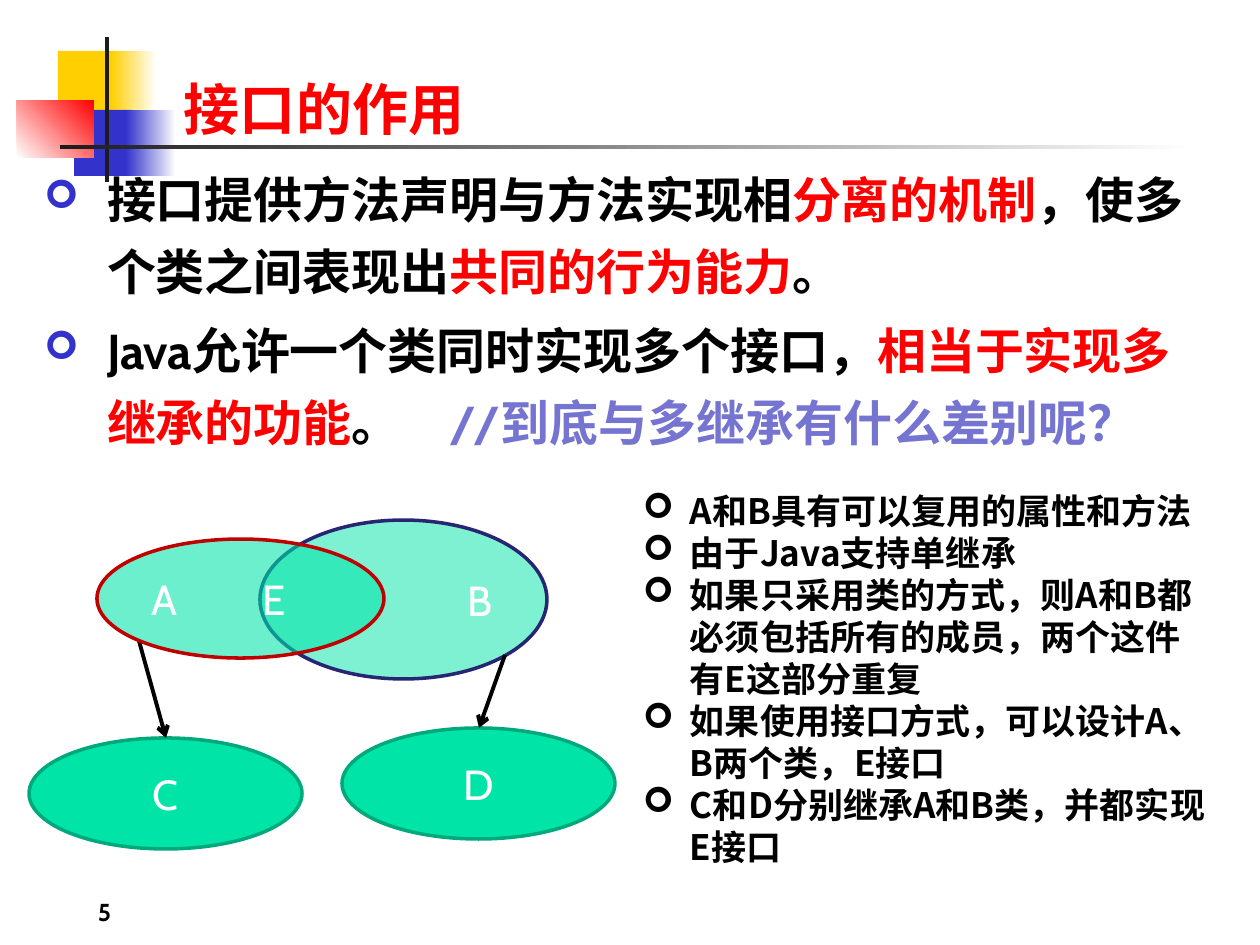
from lxml import etree
from pptx import Presentation
from pptx.dml.color import RGBColor
from pptx.enum.shapes import MSO_CONNECTOR, MSO_SHAPE
from pptx.enum.text import MSO_ANCHOR, PP_ALIGN
from pptx.oxml.ns import qn
from pptx.util import Emu, Pt

RECT, OVAL = MSO_SHAPE.RECTANGLE, MSO_SHAPE.OVAL
STRAIGHT = MSO_CONNECTOR.STRAIGHT
LEFT, CENTER, RIGHT = PP_ALIGN.LEFT, PP_ALIGN.CENTER, PP_ALIGN.RIGHT
TOP, MIDDLE, BOTTOM = MSO_ANCHOR.TOP, MSO_ANCHOR.MIDDLE, MSO_ANCHOR.BOTTOM
TITLE_ONLY = 5
PX = 914400 / 126
LATIN, CJK = "Cabin", "Noto Sans CJK SC"
COLORS = {
    "yellow": "FFCF01", "blue": "3333CC", "red": "FF0000", "dark": "1C1C1C",
    "white": "FFFFFF", "black": "000000", "lilac": "7575D1", "green": "00E4A8",
    "green_line": "00A97C", "navy": "262673", "crimson": "C00000",
}


def px(*lengths):
    return [Emu(round(n * PX)) for n in lengths]


def rgb(name):
    return RGBColor.from_string(COLORS[name])


def child(parent, tag, **attrs):
    return etree.SubElement(parent, qn(tag), {k: str(v) for k, v in attrs.items()})


def write(p, text, size=20, color="black", bold=False, font=LATIN):
    r = p.add_run()
    r.text = text
    r.font.size, r.font.bold, r.font.name = Pt(size), bold, font
    r.font.color.rgb = rgb(color)
    child(r.font._element, "a:ea", typeface=CJK)


def add_bullet(p, indent, color="black", percent=100):
    pPr = p._p.get_or_add_pPr()
    step = px(indent)[0]
    pPr.set("marL", str(step))
    pPr.set("indent", str(-step))
    child(child(pPr, "a:buClr"), "a:srgbClr", val=COLORS[color])
    child(pPr, "a:buSzPct", val=percent * 1000)
    child(pPr, "a:buFont", typeface="Wingdings")
    child(pPr, "a:buChar", char="➢")


def set_frame(tf, anchor):
    """Wrap the text and drop the insets, so that a box is its text area."""
    tf.word_wrap, tf.vertical_anchor = True, anchor
    tf.margin_left = tf.margin_right = tf.margin_top = tf.margin_bottom = 0


def add_frame(slide, box, anchor=TOP):
    tf = slide.shapes.add_textbox(*px(*box)).text_frame
    set_frame(tf, anchor)
    return tf


def add_block(slide, box, start, end=None, angle=0):
    """Add a borderless rectangle, with a gradient if there is an end colour."""
    sp = slide.shapes.add_shape(RECT, *px(*box))
    sp.shadow.inherit = False
    sp.line.fill.background()
    if end is None:
        sp.fill.solid()
        sp.fill.fore_color.rgb = rgb(start)
        return
    sp.fill.gradient()
    sp.fill.gradient_angle = angle
    for stop, position, color in zip(sp.fill.gradient_stops, (0, 1), (start, end)):
        stop.position = position
        stop.color.rgb = rgb(color)


def add_ornament(slide, left, top):
    def block(x, y, w, h, *colors, **options):
        add_block(slide, (left + x, top + y, w, h), *colors, **options)

    block(41, 14, 60, 66, "yellow")
    block(94, 14, 45, 66, "yellow", "white")
    block(57, 73, 58, 66, "blue")
    block(109, 73, 50, 66, "blue", "white")
    block(0, 63, 77, 58, "white", "red", angle=45)
    block(88, 0, 4, 145, "dark")
    block(43, 108, 1134, 4, "dark", "white")


def add_title(slide, box, text):
    title = slide.shapes.title
    title.left, title.top, title.width, title.height = px(*box)
    set_frame(title.text_frame, MIDDLE)
    p = title.text_frame.paragraphs[0]
    p.alignment = LEFT
    write(p, text, size=32, color="red", bold=True)


def add_bullets(slide, box, items, size, spacing, indent, before=0,
                font=LATIN, bullet="black", percent=100):
    """Add one bulleted paragraph for each list of (text, colour) runs."""
    tf = add_frame(slide, box)
    for i, runs in enumerate(items):
        p = tf.paragraphs[0] if i == 0 else tf.add_paragraph()
        p.line_spacing = Pt(spacing)
        p.space_before = Pt(before if i else 0)
        add_bullet(p, indent, bullet, percent)
        for text, color in runs:
            write(p, text, size=size, color=color, bold=True, font=font)


def add_oval(slide, box, text, line="green_line", opacity=100, align=CENTER, tab=None):
    sp = slide.shapes.add_shape(OVAL, *px(*box))
    sp.shadow.inherit = False
    sp.fill.solid()
    sp.fill.fore_color.rgb = rgb("green")
    if opacity < 100:
        color = sp.fill._xPr.find(qn("a:solidFill"))[0]
        child(color, "a:alpha", val=opacity * 1000)
    sp.line.color.rgb, sp.line.width = rgb(line), Pt(2)
    sp.text_frame.vertical_anchor = MIDDLE
    p = sp.text_frame.paragraphs[0]
    p.alignment = align
    if tab:
        tabs = child(p._p.get_or_add_pPr(), "a:tabLst")
        child(tabs, "a:tab", pos=px(tab)[0], algn="l")
    write(p, text, size=24, color="white")


def add_arrow(slide, x1, y1, x2, y2):
    line = slide.shapes.add_connector(STRAIGHT, *px(x1, y1, x2, y2))
    line.line.color.rgb, line.line.width = rgb("black"), Pt(2.25)
    child(line.line._get_or_add_ln(), "a:tailEnd", type="arrow")
    child(line._element.spPr, "a:effectLst")


def add_class_diagram(slide, left, top):
    def oval(x, y, w, h, text, **options):
        add_oval(slide, (left + x, top + y, w, h), text, **options)

    def arrow(x1, y1, x2, y2):
        add_arrow(slide, left + x1, top + y1, left + x2, top + y2)

    oval(231, 0, 287, 159, "B", line="navy", opacity=50, align=RIGHT)
    oval(0, 218, 273, 111, "C")
    arrow(110, 121, 137, 218)
    oval(313, 208, 273, 111, "D")
    arrow(476, 135, 450, 208)
    oval(68, 19, 287, 119, "A\tE", line="crimson", opacity=58, align=LEFT, tab=111)


def add_page_number(slide, box, number):
    p = add_frame(slide, box, BOTTOM).paragraphs[0]
    p.alignment = RIGHT
    write(p, number, size=14, bold=True)


def main():
    prs = Presentation()
    prs.slide_width, prs.slide_height = px(1260, 945)
    slide = prs.slides.add_slide(prs.slide_layouts[TITLE_ONLY])
    add_ornament(slide, 17, 37)
    add_title(slide, (184, 68, 1000, 80), "接口的作用")
    roles = [
        [("接口提供方法声明与方法实现相", "black"), ("分离的机制", "red"),
         ("，使多个类之间表现出", "black"), ("共同的行为能力", "red"), ("。", "black")],
        [("Java允许一个类同时实现多个接口，", "black"),
         ("相当于实现多继承的功能", "red"), ("。　", "black"),
         ("//到底与多继承有什么差别呢？", "lilac")],
    ]
    add_bullets(slide, (44, 157, 1152, 300), roles, size=28, spacing=41,
                indent=63, before=4, bullet="blue", percent=80)
    add_page_number(slide, (0, 869, 111, 57), "5")
    add_class_diagram(slide, 29, 520)
    notes = [
        "A和B具有可以复用的属性和方法",
        "由于Java支持单继承",
        "如果只采用类的方式，则A和B都必须包括所有的成员，两个这件有E这部分重复",
        "如果使用接口方式，可以设计A、B两个类，E接口",
        "C和D分别继承A和B类，并都实现E接口",
    ]
    add_bullets(slide, (643, 489, 569, 420), [[(note, "black")] for note in notes],
                size=20, spacing=24, indent=47, font=CJK)
    prs.save("out.pptx")


if __name__ == "__main__":
    main()
